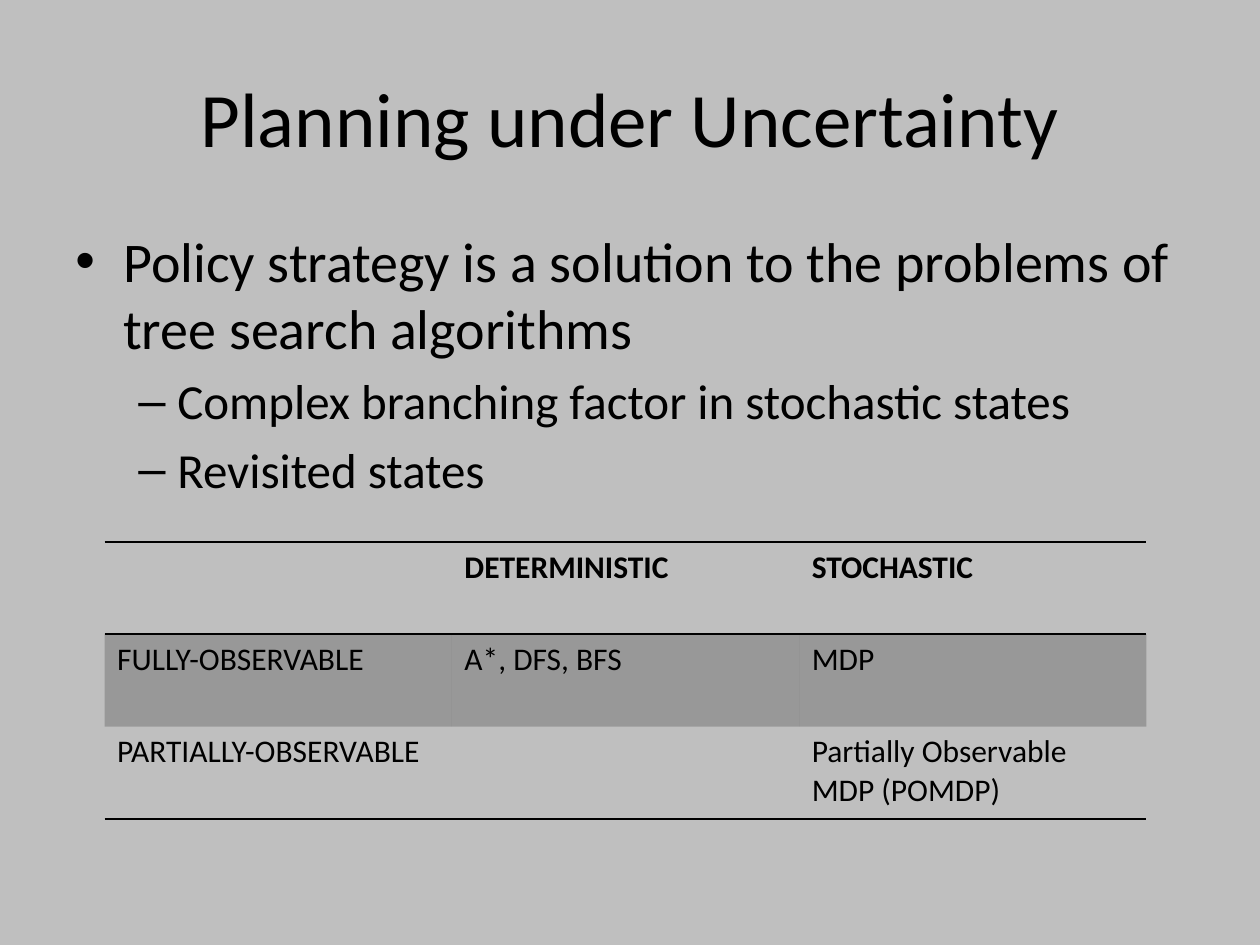
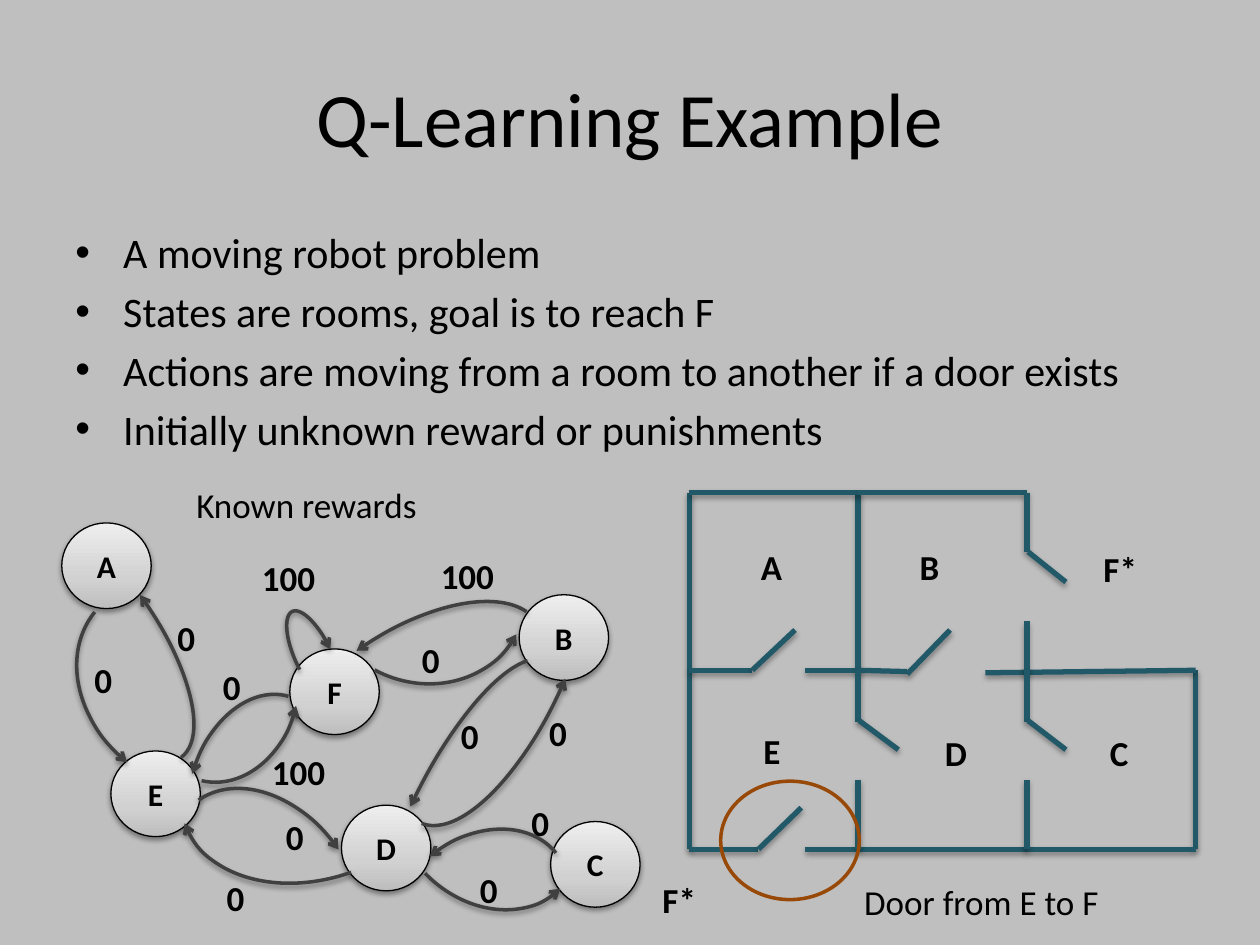
import copy

import pptx
import pptx.dml.color
import pptx.enum.shapes
import pptx.enum.text
import pptx.oxml.ns
import pptx.util
from lxml import etree

Inches = pptx.util.Inches
Pt = pptx.util.Pt
RGBColor = pptx.dml.color.RGBColor
MSO_SHAPE = pptx.enum.shapes.MSO_SHAPE
PP_ALIGN = pptx.enum.text.PP_ALIGN
MSO_ANCHOR = pptx.enum.text.MSO_ANCHOR
qn = pptx.oxml.ns.qn

FONT = "Calibri"
BLACK = RGBColor(0x00, 0x00, 0x00)
BACKGROUND = RGBColor(0xBF, 0xBF, 0xBF)
WALL = RGBColor(0x21, 0x59, 0x68)
EXIT_RING = RGBColor(0x98, 0x48, 0x07)
ARROW = RGBColor(0x40, 0x40, 0x40)
NODE_STOPS = [
    (0, RGBColor(0xBD, 0xBD, 0xBD)),
    (0.35, RGBColor(0xD1, 0xD1, 0xD1)),
    (1, RGBColor(0xEE, 0xEE, 0xEE)),
]

# Bullets: (level, text); level styles: (bullet, margin, hanging indent)
LEVELS = [("•", 0.38, 0.38), ("–", 0.81, 0.31)]
PLANNING_BULLETS = [
    (0, "Policy strategy is a solution to the problems of tree search algorithms"),
    (1, "Complex branching factor in stochastic states"),
    (1, "Revisited states"),
]
ROBOT_BULLETS = [
    (0, "A moving robot problem"),
    (0, "States are rooms, goal is to reach F"),
    (0, "Actions are moving from a room to another if a door exists"),
    (0, "Initially unknown reward or punishments"),
]
METHODS = [
    ("", "DETERMINISTIC", "STOCHASTIC"),
    ("FULLY-OBSERVABLE", "A*, DFS, BFS", "MDP"),
    ("PARTIALLY-OBSERVABLE", "", "Partially Observable MDP (POMDP)"),
]

# Floor plan: three columns and two rows of rooms
X1, X2, X3, X4 = [5.47 + 1.34 * i for i in range(4)]
Y1, Y2, Y3 = 3.91, 5.32, 6.74
WALLS = [
    (X1, Y1, X1, Y2), (X1, Y2, X1, Y3), (X2, Y1, X2, Y2), (X4, Y2, X4, Y3),
    (X2, Y1, X1, Y1), (X3, Y1, X2, Y1), (X3, Y3, X2, Y3), (X4, Y3, X3, Y3),
    (5.97, Y2, X1, Y2), (X2, Y2, 6.39, Y2), (7.2, 5.33, X2, Y2), (X4, Y2, 7.82, 5.34),
    (6.02, Y3, X1, Y3), (X2, Y3, 6.39, Y3),
    (X2, Y2, X2, 5.73), (X2, 6.19, X2, Y3),
    (X3, Y1, X3, 4.38), (X3, 4.93, X3, 5.34), (X3, Y2, X3, 5.73), (X3, 6.19, X3, Y3),
]
DOORS = [
    (6.31, 5, 5.97, Y2), (7.54, 5, 7.2, 5.35), (6.36, 6.41, 6.02, Y3),
    (8.46, 4.62, 8.16, 4.38), (7.13, 5.95, 6.82, 5.72), (8.46, 5.95, 8.16, 5.72),
]

# Labels: (text, left, top)
LABEL_WIDTHS = {
    "A": 0.37, "B": 0.37, "C": 0.35, "D": 0.38, "E": 0.34, "F*": 0.47,
    "0": 0.34, "100": 0.63, "Door from E to F": 2.11, "Known rewards": 1.96,
}
CAPTIONS = [("Door from E to F", 6.76, 6.94), ("Known rewards", 1.46, 3.79)]
ROOMS = [
    ("A", 5.94, 4.28), ("B", 7.2, 4.28), ("F*", 8.66, 4.3), ("E", 5.96, 5.74),
    ("D", 7.4, 5.76), ("C", 8.71, 5.76), ("F*", 5.16, 6.92),
]
REWARDS = [
    ("0", 2.17, 6.42), ("0", 1.7, 6.91), ("0", 1.67, 5.23), ("100", 2.06, 5.91),
    ("0", 1.31, 4.84), ("0", 0.65, 5.18), ("0", 3.25, 5.02), ("100", 3.4, 4.35),
    ("100", 1.98, 4.37), ("0", 4.26, 5.6), ("0", 3.71, 6.84), ("0", 3.56, 5.62),
    ("0", 4.12, 6.31),
]
STATES = [
    ("A", 0.49, 4.15), ("E", 0.88, 5.96), ("F", 2.3, 5.15),
    ("B", 4.12, 4.72), ("D", 2.71, 6.39), ("C", 4.37, 6.52),
]

# Moves: (left, top, width, height), rotation, arc end, arrow end
QUARTER = 0
MOVES = [
    ((0.54, 4.69, 1.9, 1.53), 219, QUARTER, "headEnd"),
    ((-0.52, 4.52, 2.47, 0.98), 54.2, QUARTER, "headEnd"),
    ((1.02, 4.87, 1.49, 1.2), 102.8, QUARTER, "headEnd"),
    ((1.27, 5.73, 1.6, 1.13), 285.9, QUARTER, "headEnd"),
    ((1.43, 6.18, 1.38, 1.91), 325.3, QUARTER, "tailEnd"),
    ((1.4, 5.35, 2.23, 1.62), 160.4, QUARTER, "tailEnd"),
    ((2.56, 3.77, 1.56, 1.72), 118.1, QUARTER, "headEnd"),
    ((1.89, 5.05, 2.61, 1.27), 325, 212.9, "headEnd"),
    ((3.18, 5.62, 1.37, 1.67), 135.9, QUARTER, "headEnd"),
    ((3, 6.66, 1.59, 1.22), 320.9, QUARTER, "headEnd"),
    ((2.19, 6.12, 3.02, 0.98), 295.3, 212.59, "headEnd"),
    ((2.43, 4.55, 3.01, 1.2), 113.3, 215.84, "headEnd"),
]
GOAL_LOOP = ((2.09, 5.07, 0.8, 0.29), 244.7, 63.82, "headEnd")


def inches(*lengths):
    return [Inches(length) for length in lengths]


def add_element(parent, tag, **attributes):
    element = etree.SubElement(parent, qn(tag))
    for name, value in attributes.items():
        element.set(name, str(value))
    return element


def style_font(font, size, bold=False):
    font.name = FONT
    font.size = Pt(size)
    font.bold = bold
    font.color.rgb = BLACK


def style_line(line, color, width):
    line.color.rgb = color
    line.width = Pt(width)


def cast_shadow(shape, opacity, distance):
    """Add a soft shadow below; call after the line is set."""
    effects = add_element(shape._element.spPr, "a:effectLst")
    shadow = add_element(effects, "a:outerShdw", blurRad=Pt(3.1), dist=Pt(distance),
                         dir=90 * 60000, rotWithShape=0)
    color = add_element(shadow, "a:srgbClr", val=BLACK)
    add_element(color, "a:alpha", val=opacity * 1000)


def add_titled_slide(deck, title):
    slide = deck.slides.add_slide(deck.slide_layouts[5])
    heading = slide.shapes.title
    heading.left, heading.top, heading.width, heading.height = inches(0.5, 0.3, 9, 1.25)
    heading.text_frame.text = title
    heading.text_frame.vertical_anchor = MSO_ANCHOR.MIDDLE
    paragraph = heading.text_frame.paragraphs[0]
    paragraph.alignment = PP_ALIGN.CENTER
    style_font(paragraph.runs[0].font, 44)
    return slide


def add_bullets(slide, bullets, sizes):
    frame = slide.shapes.add_textbox(*inches(0.5, 1.75, 9, 4.95)).text_frame
    frame.word_wrap = True
    frame.text = "\n".join(text for _, text in bullets)
    for i, (paragraph, (level, _)) in enumerate(zip(frame.paragraphs, bullets)):
        bullet, margin, hanging = LEVELS[level]
        paragraph.level = level
        if i:
            paragraph.space_before = Pt(0.2 * sizes[level])
        properties = paragraph._p.get_or_add_pPr()
        properties.set("marL", str(Inches(margin)))
        properties.set("indent", str(-Inches(hanging)))
        add_element(properties, "a:buFont", typeface="Arial")
        add_element(properties, "a:buChar", char=bullet)
        style_font(paragraph.runs[0].font, sizes[level])


def rule_cell(cell, side):
    line = add_element(cell._tc.get_or_add_tcPr(), side, w=Pt(1))
    add_element(add_element(line, "a:solidFill"), "a:srgbClr", val=BLACK)


def add_methods_table(slide):
    table = slide.shapes.add_table(3, 3, *inches(0.83, 4.3, 8.27, 2.2)).table
    table.first_row = table.horz_banding = False
    # The style without fills or grid
    table._tbl.tblPr.find(qn("a:tableStyleId")).text = "{2D5ABB26-0587-4C30-8999-92F81FD0307C}"
    for r, row in enumerate(METHODS):
        for c, text in enumerate(row):
            cell = table.cell(r, c)
            cell.text_frame.text = text
            for run in cell.text_frame.paragraphs[0].runs:
                style_font(run.font, 18, bold=r == 0)
            if r == 0:
                rule_cell(cell, "a:lnT")
            if r != 1:
                rule_cell(cell, "a:lnB")
                cell.fill.background()
            else:
                cell.fill.solid()
                cell.fill.fore_color.rgb = BLACK
                color = cell._tc.tcPr.find(".//" + qn("a:srgbClr"))
                add_element(color, "a:alpha", val=20000)


def add_label(slide, text, left, top, bold=True):
    box = slide.shapes.add_textbox(*inches(left, top, LABEL_WIDTHS[text], 0.44))
    frame = box.text_frame
    frame.word_wrap = False
    frame.auto_size = pptx.enum.text.MSO_AUTO_SIZE.SHAPE_TO_FIT_TEXT
    frame.text = text
    style_font(frame.paragraphs[0].runs[0].font, 20, bold)


def add_wall(slide, ends):
    wall = slide.shapes.add_connector(pptx.enum.shapes.MSO_CONNECTOR.STRAIGHT, *inches(*ends))
    style_line(wall.line, WALL, 3)
    cast_shadow(wall, 35, 1.8)


def add_exit_ring(slide):
    ring = slide.shapes.add_shape(MSO_SHAPE.OVAL, *inches(5.72, 6.2, 1.1, 0.94))
    ring.fill.background()
    style_line(ring.line, EXIT_RING, 2)
    ring.shadow.inherit = False


def add_state(slide, name, left, top):
    state = slide.shapes.add_shape(MSO_SHAPE.OVAL, *inches(left, top, 0.71, 0.68))
    state.fill.gradient()
    state.fill.gradient_angle = 90
    stops = state._element.spPr.find(".//" + qn("a:gsLst"))
    stops.insert(1, copy.deepcopy(stops[0]))
    for stop, (position, color) in zip(state.fill.gradient_stops, NODE_STOPS):
        stop.position = position
        stop.color.rgb = color
    style_line(state.line, BLACK, 0.75)
    cast_shadow(state, 38, 1.6)
    frame = state.text_frame
    frame.text = name
    frame.vertical_anchor = MSO_ANCHOR.MIDDLE
    frame.paragraphs[0].alignment = PP_ALIGN.CENTER
    style_font(frame.paragraphs[0].runs[0].font, 18, bold=True)


def add_move(slide, bounds, rotation, arc_end, arrow_end):
    move = slide.shapes.add_shape(MSO_SHAPE.ARC, *inches(*bounds))
    move.rotation = rotation
    move.adjustments[0] = 162
    move.adjustments[1] = arc_end
    move.fill.background()
    style_line(move.line, ARROW, 2)
    add_element(move._element.spPr.find(qn("a:ln")), "a:" + arrow_end, type="arrow")
    cast_shadow(move, 38, 1.6)
    return move


def build_planning(deck):
    slide = add_titled_slide(deck, "Planning under Uncertainty")
    add_methods_table(slide)
    add_bullets(slide, PLANNING_BULLETS, (32, 28))


def build_q_learning(deck):
    slide = add_titled_slide(deck, "Q-Learning Example")
    add_bullets(slide, ROBOT_BULLETS, (24,))
    for ends in WALLS + DOORS:
        add_wall(slide, ends)
    add_exit_ring(slide)
    for state in STATES:
        add_state(slide, *state)
    for move in MOVES:
        add_move(slide, *move)
    add_move(slide, *GOAL_LOOP)._element.spPr.find(qn("a:xfrm")).set("flipV", "1")
    for label in ROOMS + REWARDS:
        add_label(slide, *label)
    for caption in CAPTIONS:
        add_label(slide, *caption, bold=False)


def main():
    deck = pptx.Presentation()
    deck.slide_width, deck.slide_height = inches(10, 7.5)
    backdrop = deck.slide_master.background.fill
    backdrop.solid()
    backdrop.fore_color.rgb = BACKGROUND
    build_planning(deck)
    build_q_learning(deck)
    deck.save("out.pptx")


if __name__ == "__main__":
    main()
